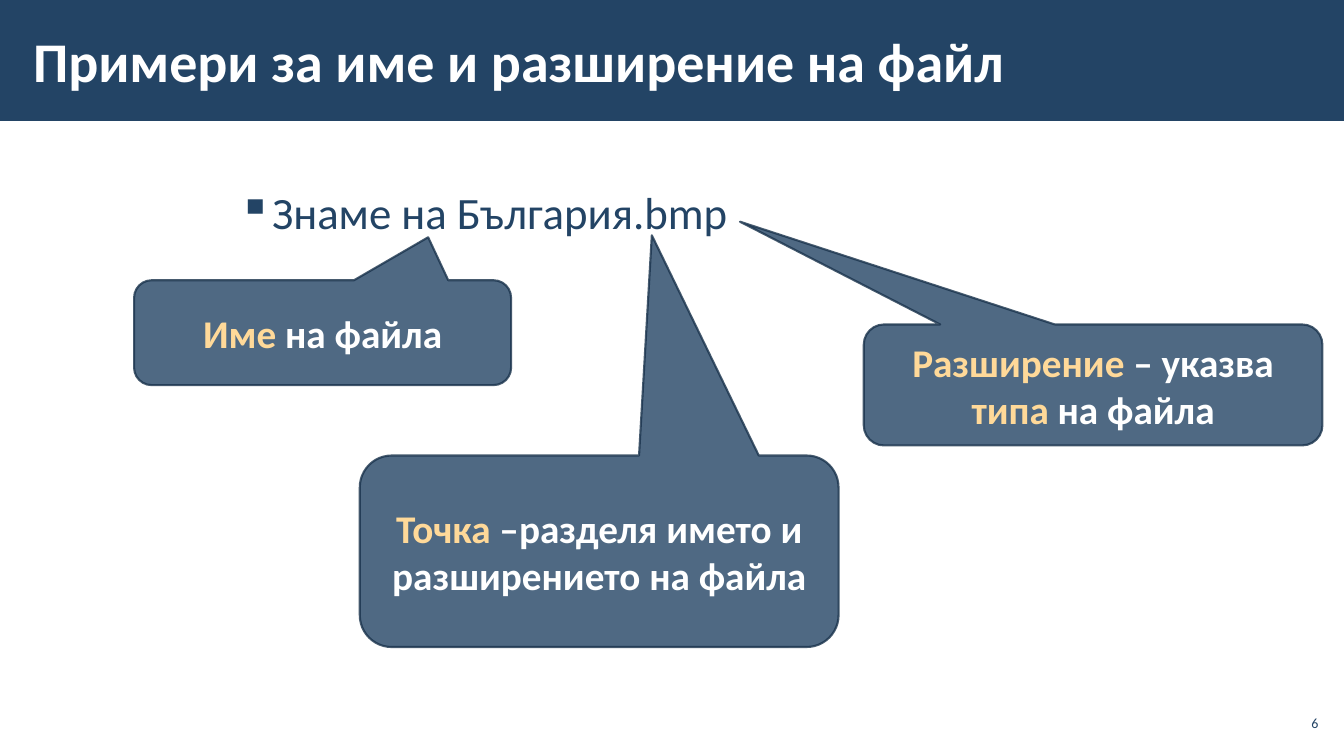
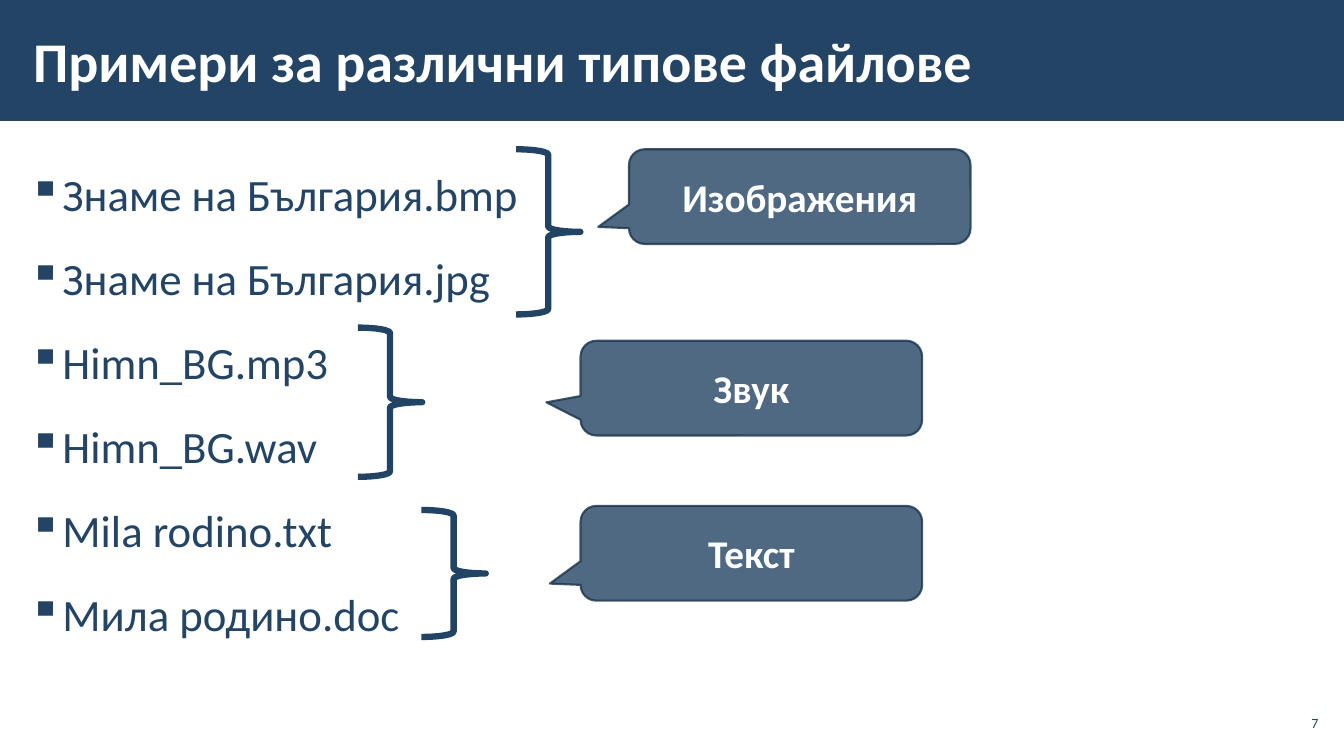
from dataclasses import dataclass
from typing import NamedTuple

from lxml import etree
from pptx import Presentation
from pptx.dml.color import RGBColor
from pptx.enum.shapes import MSO_SHAPE
from pptx.enum.text import MSO_ANCHOR, MSO_AUTO_SIZE, PP_ALIGN
from pptx.oxml.ns import qn
from pptx.util import Pt

RECTANGLE = MSO_SHAPE.RECTANGLE
CALLOUT = MSO_SHAPE.ROUNDED_RECTANGULAR_CALLOUT
BRACE = MSO_SHAPE.RIGHT_BRACE
TOP = MSO_ANCHOR.TOP
MIDDLE = MSO_ANCHOR.MIDDLE
LEFT = PP_ALIGN.LEFT
CENTER = PP_ALIGN.CENTER
RIGHT = PP_ALIGN.RIGHT
FIXED_SIZE = MSO_AUTO_SIZE.NONE
TITLE_ONLY = 5


@dataclass(frozen=True)
class Theme:
    font: str = "Calibri"
    navy: RGBColor = RGBColor.from_string("234465")
    outline: RGBColor = RGBColor.from_string("1A334C")
    brace: RGBColor = RGBColor.from_string("214364")
    accent: RGBColor = RGBColor.from_string("FFD999")
    white: RGBColor = RGBColor.from_string("FFFFFF")
    title_size: int = 40
    list_size: int = 32
    callout_size: int = 28
    number_size: int = 10
    opacity: int = 80
    callout_line: float = 1.5
    brace_line: float = 4.5


class Box(NamedTuple):
    left: float
    top: float
    width: float
    height: float

    def lengths(self):
        return [Pt(value) for value in self]


THEME = Theme()
SLIDE = Box(0, 0, 960, 540)
BAND = Box(0, 0, SLIDE.width, 86.4)
TITLE = Box(15.1, 7.9, 748.8, 69.8)
NUMBER = Box(910.8, 504, 33.8, 24.5)
TEXT_INSETS = (8.5, 2.83)
NUMBER_INSETS = (2.83, 2.83)


def add_run(paragraph, text, size, color, bold=False):
    run = paragraph.add_run()
    run.text = text
    run.font.name = THEME.font
    run.font.size = Pt(size)
    run.font.bold = bold
    run.font.color.rgb = color


def set_frame(frame, insets, anchor):
    frame.word_wrap = True
    frame.auto_size = FIXED_SIZE
    frame.vertical_anchor = anchor
    frame.margin_left = frame.margin_right = Pt(insets[0])
    frame.margin_top = frame.margin_bottom = Pt(insets[1])


def set_opacity(shape):
    for color in shape.element.spPr.iter(qn("a:srgbClr")):
        etree.SubElement(color, qn("a:alpha"), val=str(THEME.opacity * 1000))


def set_bullet(paragraph):
    properties = paragraph._p.get_or_add_pPr()
    properties.set("marL", "0")
    properties.set("indent", str(-Pt(30)))
    bullet_color = etree.SubElement(properties, qn("a:buClr"))
    etree.SubElement(bullet_color, qn("a:srgbClr"), val=str(THEME.navy))
    etree.SubElement(properties, qn("a:buChar"), char="▪")


def add_band(slide):
    band = slide.shapes.add_shape(RECTANGLE, *BAND.lengths())
    band.shadow.inherit = False
    band.fill.solid()
    band.fill.fore_color.rgb = THEME.navy
    band.line.fill.background()
    slide.shapes.element.insert(2, band.element)


def add_title(slide, text):
    title = slide.shapes.title
    title.left, title.top, title.width, title.height = TITLE.lengths()
    set_frame(title.text_frame, TEXT_INSETS, MIDDLE)
    paragraph = title.text_frame.paragraphs[0]
    paragraph.alignment = LEFT
    add_run(paragraph, text, THEME.title_size, THEME.white, True)


def add_number(slide, number):
    frame = slide.shapes.add_textbox(*NUMBER.lengths()).text_frame
    set_frame(frame, NUMBER_INSETS, MIDDLE)
    paragraph = frame.paragraphs[0]
    paragraph.alignment = RIGHT
    add_run(paragraph, str(number), THEME.number_size, THEME.navy)


def start_slide(deck, title, number):
    slide = deck.slides.add_slide(deck.slide_layouts[TITLE_ONLY])
    add_band(slide)
    add_title(slide, title)
    add_number(slide, number)
    return slide


def add_file_list(slide, box, file_names):
    frame = slide.shapes.add_textbox(*box.lengths()).text_frame
    set_frame(frame, TEXT_INSETS, TOP)
    for index, file_name in enumerate(file_names):
        paragraph = frame.add_paragraph() if index else frame.paragraphs[0]
        set_bullet(paragraph)
        paragraph.line_spacing = 1.25
        paragraph.space_before = Pt(6 if index else 0)
        paragraph.space_after = Pt(6)
        add_run(paragraph, file_name, THEME.list_size, THEME.navy)


def add_callout(slide, box, tip, phrases):
    callout = slide.shapes.add_shape(CALLOUT, *box.lengths())
    callout.adjustments[0], callout.adjustments[1] = tip
    callout.shadow.inherit = False
    callout.fill.solid()
    callout.fill.fore_color.rgb = THEME.navy
    callout.line.color.rgb = THEME.outline
    callout.line.width = Pt(THEME.callout_line)
    set_opacity(callout)
    set_frame(callout.text_frame, (7.2, 3.6), MIDDLE)
    paragraph = callout.text_frame.paragraphs[0]
    paragraph.alignment = CENTER
    for text, color in phrases:
        add_run(paragraph, text, THEME.callout_size, color, True)


def add_brace(slide, box):
    brace = slide.shapes.add_shape(BRACE, *box.lengths())
    brace.shadow.inherit = False
    brace.fill.background()
    brace.line.color.rgb = THEME.brace
    brace.line.width = Pt(THEME.brace_line)


def build_name_parts(deck):
    slide = start_slide(deck, "Примери за име и разширение на файл", 6)
    add_file_list(slide, Box(162, 119.5, 437, 51.8), ["Знаме на България.bmp"])
    accent, white = THEME.accent, THEME.white
    parts = [
        (Box(95.8, 200.2, 269.3, 74.9), (0.28, -0.91),
         [("Име", accent), (" на файла", white)]),
        (Box(617, 231.8, 327.6, 86.4), (-0.77, -1.35),
         [("Разширение", accent), (" – указва ", white),
          ("типа", accent), (" на файла", white)]),
        (Box(257, 325.4, 342, 136.8), (0.11, -1.65),
         [("Точка", accent), (" –разделя името и разширението на файла", white)]),
    ]
    for box, tip, phrases in parts:
        add_callout(slide, box, tip, phrases)


def build_file_types(deck):
    slide = start_slide(deck, "Примери за различни типове файлове", 7)
    add_file_list(slide, Box(12.2, 106.6, 437, 361.4), [
        "Знаме на България.bmp",
        "Знаме на България.jpg",
        "Himn_BG.mp3",
        "Himn_BG.wav",
        "Mila rodino.txt",
        "Мила родино.doc",
    ])
    file_types = [
        ("Изображения", Box(368.6, 106.6, 46, 118), (449.3, 106.6), (-0.59, 0.32)),
        ("Звук", Box(255.6, 234, 46, 106.6), (414.7, 243.4), (-0.6, 0.15)),
        ("Текст", Box(301, 364.3, 46, 90.7), (414.7, 361.4), (-0.59, 0.32)),
    ]
    for label, brace_box, corner, tip in file_types:
        add_brace(slide, brace_box)
        add_callout(slide, Box(*corner, 244, 67.7), tip, [(label, THEME.white)])


def main():
    deck = Presentation()
    deck.slide_width = Pt(SLIDE.width)
    deck.slide_height = Pt(SLIDE.height)
    build_name_parts(deck)
    build_file_types(deck)
    deck.save("out.pptx")


if __name__ == "__main__":
    main()
